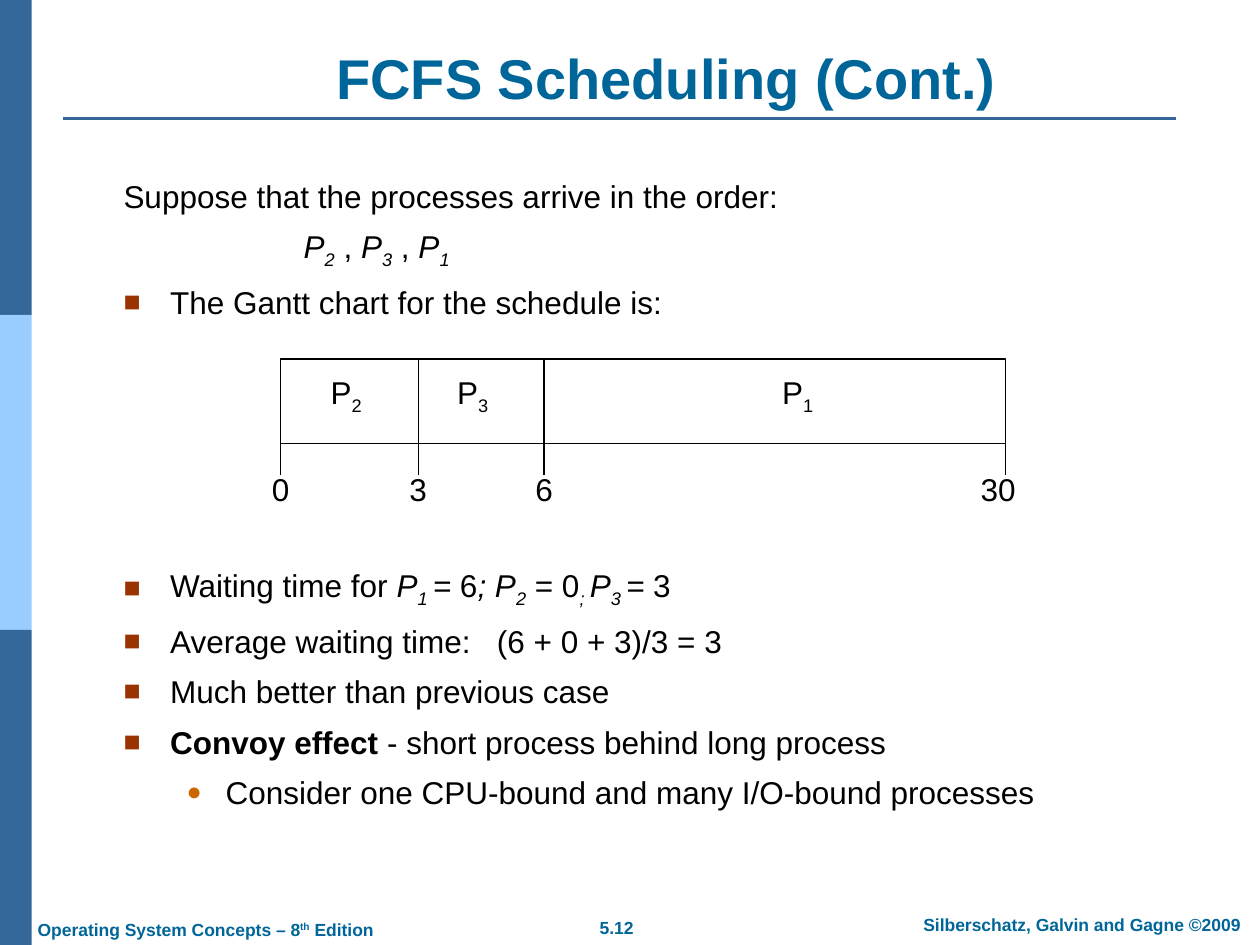
from lxml import etree
from pptx import Presentation
from pptx.dml.color import RGBColor
from pptx.enum import shapes, text
from pptx.oxml import ns
from pptx.util import Cm, Pt

BLUE = RGBColor(0x33, 0x66, 0x99)
LIGHT_BLUE = RGBColor(0x99, 0xCC, 0xFF)
TEAL = RGBColor(0x00, 0x66, 0x99)
RUST = RGBColor(0x99, 0x33, 0x00)
ORANGE = RGBColor(0xCC, 0x66, 0x00)
BLACK = RGBColor(0, 0, 0)
WHITE = RGBColor(255, 255, 255)

SUBSCRIPT, SUPERSCRIPT = -25000, 30000
SQUARE = ("■", RUST, 90)
DOT = ("●", ORANGE, 80)
CENTER = text.PP_ALIGN.CENTER


def write(paragraph, runs, size=18, color=BLACK, bold=False, align=None,
          before=0.0, margin=0.0, indent=0.0, bullet=None):
    """Fill a paragraph with runs: plain strings or (string, overrides) pairs."""
    paragraph.alignment = align
    paragraph.space_before = Pt(before)
    props = paragraph._p.get_or_add_pPr()
    props.set("marL", str(Cm(margin)))
    props.set("indent", str(Cm(indent)))
    if bullet:
        char, bullet_color, percent = bullet
        holder = etree.SubElement(props, ns.qn("a:buClr"))
        etree.SubElement(holder, ns.qn("a:srgbClr"), val=str(bullet_color))
        etree.SubElement(props, ns.qn("a:buSzPct"), val=str(percent * 1000))
        etree.SubElement(props, ns.qn("a:buFont"), typeface="Arial")
        etree.SubElement(props, ns.qn("a:buChar"), char=char)
    else:
        etree.SubElement(props, ns.qn("a:buNone"))
    for item in runs:
        words, extra = (item, {}) if isinstance(item, str) else item
        run = paragraph.add_run()
        run.text = words
        run.font.name = "Arial"
        run.font.size = Pt(size)
        run.font.color.rgb = color
        run.font.bold = extra.get("bold", bold)
        run.font.italic = extra.get("italic", False)
        for key in ("baseline", "spc"):
            if key in extra:
                run._r.get_or_add_rPr().set(key, str(extra[key]))


def prepare(frame, anchor=text.MSO_ANCHOR.TOP, wrap=True):
    frame.word_wrap = wrap
    frame.auto_size = text.MSO_AUTO_SIZE.NONE
    frame.vertical_anchor = anchor
    frame.margin_left = frame.margin_right = Cm(0.25)
    frame.margin_top = frame.margin_bottom = Cm(0.13)
    return frame


def place(shape, left, top, width, height):
    shape.left, shape.top = Cm(left), Cm(top)
    shape.width, shape.height = Cm(width), Cm(height)


def add_label(parent, left, top, width, height, runs,
              anchor=text.MSO_ANCHOR.MIDDLE, **fmt):
    box = parent.add_textbox(Cm(left), Cm(top), Cm(width), Cm(height))
    write(prepare(box.text_frame, anchor, wrap=False).paragraphs[0], runs, **fmt)


def add_box(parent, left, top, width, height, fill, line=None):
    box = parent.add_shape(shapes.MSO_SHAPE.RECTANGLE,
                           Cm(left), Cm(top), Cm(width), Cm(height))
    box.shadow.inherit = False
    box.fill.solid()
    box.fill.fore_color.rgb = fill
    if line is None:
        box.line.fill.background()
    else:
        box.line.color.rgb = line
        box.line.width = Pt(0.75)


def add_line(parent, x1, y1, x2, y2, color=BLACK, width=0.75):
    line = parent.add_connector(shapes.MSO_CONNECTOR.STRAIGHT,
                                Cm(x1), Cm(y1), Cm(x2), Cm(y2))
    line.line.color.rgb = color
    line.line.width = Pt(width)
    etree.SubElement(line._element.spPr, ns.qn("a:effectLst"))


def process(number, tail=""):
    """Italic process name with its subscript."""
    return [("P", {"italic": True}),
            (f"{number}{tail}", {"italic": True, "baseline": SUBSCRIPT})]


def add_sidebar(parent, left, top, width, height):
    band = height / 3
    for row, color in enumerate((BLUE, LIGHT_BLUE, BLUE)):
        add_box(parent, left, top + row * band, width, band, color)


def add_footer(parent, left, top, width):
    style = dict(size=10, color=TEAL, bold=True, anchor=text.MSO_ANCHOR.TOP)
    edition = ["Operating System Concepts – 8",
               ("th", {"baseline": SUPERSCRIPT}), " Edition"]
    add_label(parent, left, top + 0.1, 7.39, 0.69, edition, **style)
    add_label(parent, left + 11.3, top + 0.07, 1.24, 0.69, ["5.12"],
              align=CENTER, **style)
    add_label(parent, left + width - 7.54, top, 7.54, 0.69,
              ["Silberschatz, Galvin and Gagne ©2009"], align=CENTER, **style)


def add_title(title, left, top, width, height):
    place(title, left, top, width, height)
    frame = prepare(title.text_frame, text.MSO_ANCHOR.BOTTOM)
    write(frame.paragraphs[0], ["FCFS Scheduling (Cont.)"],
          size=32, color=TEAL, bold=True, align=CENTER)


def add_body(body, left, top, width, height):
    place(body, left, top, width, height)
    frame = prepare(body.text_frame)
    italic = {"italic": True}
    gap = 7.3
    item = dict(before=gap, margin=0.94, indent=-0.94, bullet=SQUARE)
    order = [*process(2), " , ", *process(3), " , ", *process(1)]
    waiting = ["Waiting time for ", *process(1, " "), ("=", italic), " 6",
               ("; ", italic), *process(2), " = 0",
               ("; ", {"italic": True, "baseline": SUBSCRIPT}),
               *process(3, " "), ("= ", italic), "3"]
    average = ["Average waiting time:", (" ", {"spc": 1000}),
               "(6 + 0 + 3)/3 = 3"]
    convoy = [("Convoy effect ", {"bold": True}),
              "- short process behind long process"]
    lines = [
        (["Suppose that the processes arrive in the order:"], {}),
        (order, dict(before=gap, margin=3.63)),
        (["The Gantt chart for the schedule is:"], item),
        (waiting, {**item, "before": 140}),  # leaves room for the chart
        (average, item),
        (["Much better than previous case"], item),
        (convoy, item),
        (["Consider one CPU-bound and many I/O-bound processes"],
         dict(before=gap, margin=2.06, indent=-0.79, bullet=DOT)),
    ]
    for index, (runs, fmt) in enumerate(lines):
        paragraph = frame.add_paragraph() if index else frame.paragraphs[0]
        paragraph.level = 1 if fmt.get("bullet") is DOT else 0
        write(paragraph, runs, **fmt)


def add_gantt(parent, left, top, width, height):
    add_box(parent, left, top, width, height, WHITE, BLACK)
    bottom, tick = top + height, 0.63
    # Process names, by centre
    for number, center in ((2, 1.32), (3, 3.87), (1, 10.42)):
        add_label(parent, left + center - 0.58, top + 0.2, 1.16, 1.02,
                  ["P", (str(number), {"baseline": SUBSCRIPT})], align=CENTER)
    # Time marks; inner ones also divide the bar
    for time, x, center in ((0, 0, 0), (3, 2.77, 2.77), (6, 5.31, 5.31),
                            (30, width, width - 0.15)):
        x += left
        if 0 < time < 30:
            add_line(parent, x, top, x, bottom)
        add_line(parent, x, bottom, x, bottom + tick)
        add_label(parent, left + center - 0.6, bottom + 0.41, 1.2, 1.02,
                  [str(time)], align=CENTER)


def main():
    deck = Presentation()
    deck.slide_width, deck.slide_height = Cm(25.4), Cm(19.05)
    slide = deck.slides.add_slide(deck.slide_layouts[1])
    parts = slide.shapes

    # Frame
    add_sidebar(parts, 0, 0, 0.64, 19.05)
    add_line(parts, 1.27, 2.39, 23.7, 2.39, BLUE, 1.5)
    add_footer(parts, 0.51, 18.29, 25.07)
    # Content
    add_title(parts.title, 2.74, 0.76, 21.39, 1.6)
    add_body(slide.placeholders[1], 2.24, 3.43, 22.86, 13.49)
    add_gantt(parts.add_group_shape().shapes, 5.66, 7.24, 14.61, 1.7)

    deck.save("out.pptx")


if __name__ == "__main__":
    main()
